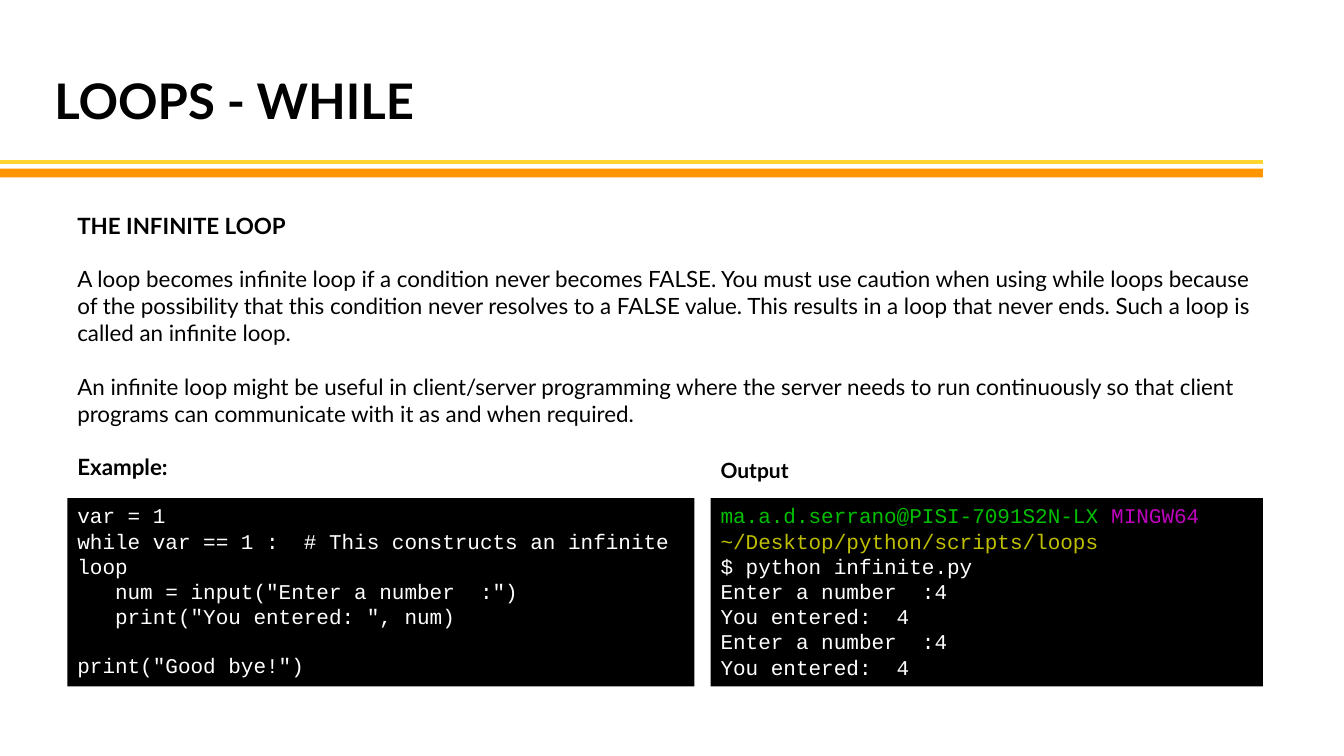
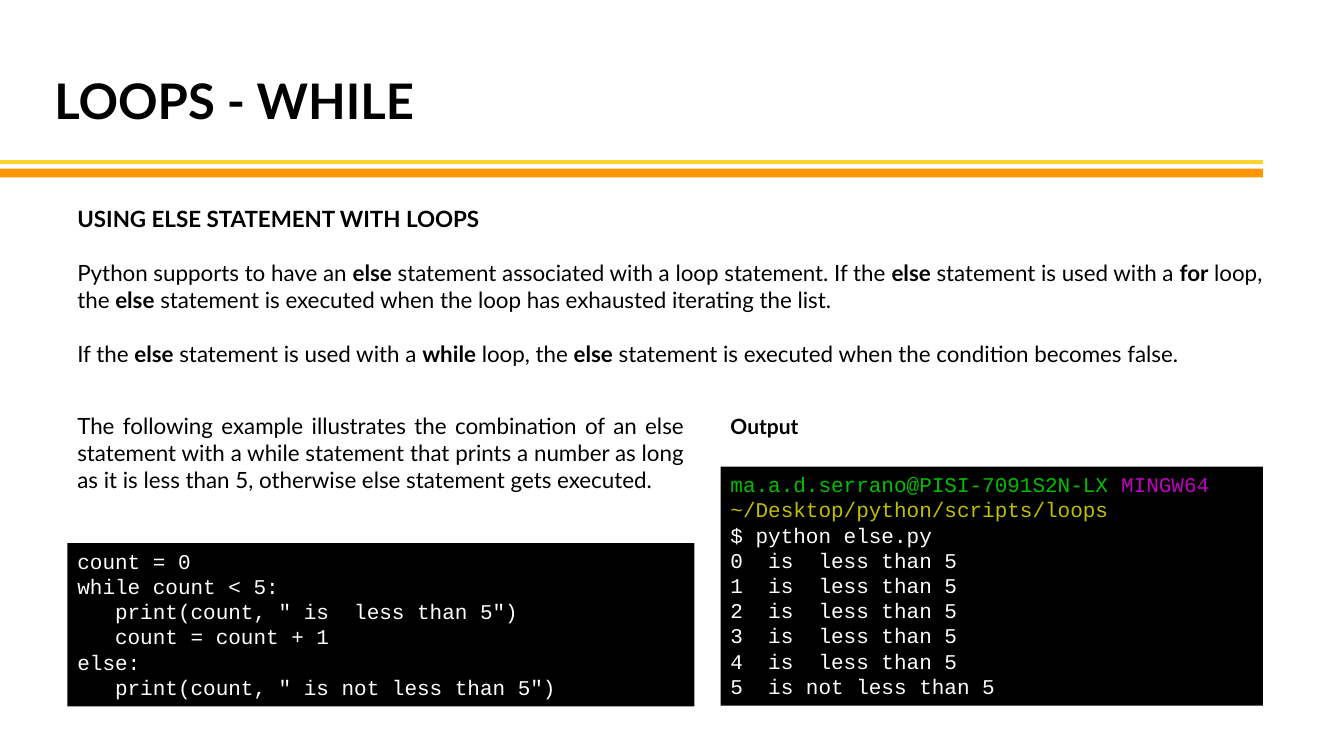
from dataclasses import dataclass

import pptx
import pptx.dml.color
import pptx.enum.shapes
import pptx.enum.text
import pptx.oxml
import pptx.oxml.ns
import pptx.slide
import pptx.text.text
import pptx.util

Cm = pptx.util.Cm
Pt = pptx.util.Pt
ALIGN = pptx.enum.text.PP_ALIGN

COLORS = {
    "text": "000000",
    "console": "000000",
    "code": "FFFFFF",
    "thin band": "FFD42E",
    "thick band": "FF9500",
    "prompt user": "00BF00",
    "prompt system": "BF00BF",
    "prompt folder": "BFBF00",
}
PROSE_FONT, CODE_FONT = "Lato", "Courier New"
PROSE_SIZE, CODE_SIZE, TITLE_SIZE = 16, 15, 35
PROSE_GAP, CODE_GAP = 19.2, 17
LEFT, RIGHT, CODE_WIDTH, PROSE_WIDTH = 1.7, 31.83, 15.8, 30.45


@dataclass(frozen=True)
class Box:
    left: float
    top: float
    width: float
    height: float

    def lengths(self) -> tuple[pptx.util.Length, ...]:
        return Cm(self.left), Cm(self.top), Cm(self.width), Cm(self.height)


@dataclass(frozen=True)
class Run:
    text: str
    color: str = "text"
    bold: bool = False


@dataclass(frozen=True)
class Line:
    runs: tuple[Run, ...]
    space_before: float = 0


@dataclass(frozen=True)
class Style:
    font: str = PROSE_FONT
    size: float = PROSE_SIZE
    align: ALIGN = ALIGN.LEFT
    wrap: bool = True


PROSE = Style()
JUSTIFIED = Style(align=ALIGN.JUSTIFY)
LABEL = Style(size=15, wrap=False)
TITLE = Style(size=TITLE_SIZE)
CODE = Style(font=CODE_FONT, size=CODE_SIZE)


def rgb(name: str) -> pptx.dml.color.RGBColor:
    return pptx.dml.color.RGBColor.from_string(COLORS[name])


def prose(*paragraphs: str) -> list[Line]:
    """Text between asterisks is bold."""
    return [
        Line(
            tuple(
                Run(part, bold=position % 2 == 1)
                for position, part in enumerate(paragraph.split("*"))
                if part
            ),
            PROSE_GAP if index else 0,
        )
        for index, paragraph in enumerate(paragraphs)
    ]


def code(*blocks: str) -> list[Line]:
    return [
        Line((Run(text, "code"),), CODE_GAP if block_index and not row else 0)
        for block_index, block in enumerate(blocks)
        for row, text in enumerate(block.split("\n"))
    ]


def session(output: str) -> list[Line]:
    prompt = Line((
        Run("ma.a.d.serrano@PISI-7091S2N-LX ", "prompt user"),
        Run("MINGW64 ", "prompt system"),
        Run("~/Desktop/python/scripts/loops", "prompt folder"),
    ))
    return [prompt, *code(output)]


def write(frame: pptx.text.text.TextFrame, lines: list[Line], style: Style) -> None:
    frame.word_wrap = style.wrap
    frame.auto_size = pptx.enum.text.MSO_AUTO_SIZE.SHAPE_TO_FIT_TEXT
    frame.vertical_anchor = pptx.enum.text.MSO_ANCHOR.TOP
    for index, line in enumerate(lines):
        paragraph = frame.add_paragraph() if index else frame.paragraphs[0]
        paragraph.alignment = style.align
        if line.space_before:
            paragraph.space_before = Pt(line.space_before)
        for part in line.runs:
            run = paragraph.add_run()
            run.text = part.text
            run.font.name = style.font
            run.font.size = Pt(style.size)
            run.font.bold = part.bold
            run.font.color.rgb = rgb(part.color)


def add_text(
    slide: pptx.slide.Slide, box: Box, lines: list[Line], style: Style = PROSE
) -> pptx.text.text.TextFrame:
    frame = slide.shapes.add_textbox(*box.lengths()).text_frame
    write(frame, lines, style)
    return frame


def add_rectangle(
    slide: pptx.slide.Slide, box: Box, fill: str
) -> pptx.text.text.TextFrame:
    shape = slide.shapes.add_shape(
        pptx.enum.shapes.MSO_SHAPE.RECTANGLE, *box.lengths()
    )
    shape.shadow.inherit = False
    shape.fill.solid()
    shape.fill.fore_color.rgb = rgb(fill)
    shape.line.fill.background()
    return shape.text_frame


def add_console(slide: pptx.slide.Slide, box: Box, lines: list[Line]) -> None:
    write(add_rectangle(slide, box, "console"), lines, CODE)


def add_output(
    slide: pptx.slide.Slide,
    left: float,
    label_top: float,
    top: float,
    height: float,
    output: str,
) -> None:
    add_text(slide, Box(left, label_top, 2.41, 0.89), prose("*Output*"), LABEL)
    add_console(slide, Box(left, top, RIGHT - left, height), session(output))


def add_titled_slide(
    presentation: pptx.presentation.Presentation, title: str
) -> pptx.slide.Slide:
    slide = presentation.slides.add_slide(presentation.slide_layouts[6])
    thin_band = slide.shapes.add_connector(
        pptx.enum.shapes.MSO_CONNECTOR.STRAIGHT, Cm(0), Cm(4.09), Cm(RIGHT), Cm(4.09)
    )
    thin_band.line.color.rgb = rgb("thin band")
    thin_band.line.width = Pt(3)
    properties = thin_band._element.spPr
    properties.append(pptx.oxml.parse_xml(
        f"<a:effectLst {pptx.oxml.ns.nsdecls('a')}/>"
    ))
    frame = add_text(slide, Box(1.37, 1.78, 20, 1.63), prose(f"*{title}*"), TITLE)
    frame.margin_left = frame.margin_top = frame.margin_right = Cm(0)
    add_rectangle(slide, Box(0, 4.25, RIGHT, 0.22), "thick band")
    return slide


def build_infinite_loop(presentation: pptx.presentation.Presentation) -> None:
    slide = add_titled_slide(presentation, "LOOPS - WHILE")
    add_text(slide, Box(LEFT, 5.21, PROSE_WIDTH, 7.09), prose(
        "*THE INFINITE LOOP*",
        "A loop becomes infinite loop if a condition never becomes FALSE. "
        "You must use caution when using while loops because of the possibility "
        "that this condition never resolves to a FALSE value. This results in a "
        "loop that never ends. Such a loop is called an infinite loop.",
        "An infinite loop might be useful in client/server programming where the "
        "server needs to run continuously so that client programs can communicate "
        "with it as and when required.",
        "*Example:*",
    ))
    add_console(slide, Box(LEFT, 12.55, CODE_WIDTH, 4.75), code(
        "var = 1\n"
        "while var == 1 :  # This constructs an infinite loop\n"
        '   num = input("Enter a number  :")\n'
        '   print("You entered: ", num)',
        'print("Good bye!")',
    ))
    exchange = "\nEnter a number  :4\nYou entered:  4"
    add_output(
        slide, 17.91, 11.4, 12.55, 4.75, "$ python infinite.py" + exchange * 2
    )


def build_else_statement(presentation: pptx.presentation.Presentation) -> None:
    slide = add_titled_slide(presentation, "LOOPS - WHILE")
    add_text(slide, Box(LEFT, 5.05, PROSE_WIDTH, 5.05), prose(
        "*USING ELSE STATEMENT WITH LOOPS*",
        "Python supports to have an *else* statement associated with a loop "
        "statement. If the *else* statement is used with a *for* loop, the *else* "
        "statement is executed when the loop has exhausted iterating the list.",
        "If the *else* statement is used with a *while* loop, the *else* statement "
        "is executed when the condition becomes false.",
    ))
    add_text(slide, Box(LEFT, 10.26, CODE_WIDTH, 3), prose(
        "The following example illustrates the combination of an else statement "
        "with a while statement that prints a number as long as it is less than 5, "
        "otherwise else statement gets executed.",
    ), JUSTIFIED)
    add_console(slide, Box(LEFT, 13.69, CODE_WIDTH, 4.11), code(
        "count = 0\n"
        "while count < 5:\n"
        '   print(count, " is  less than 5")\n'
        "   count = count + 1\n"
        "else:\n"
        '   print(count, " is not less than 5")',
    ))
    counts = "".join(f"\n{count}  is  less than 5" for count in range(5))
    add_output(
        slide, 18.16, 10.29, 11.76, 6.02,
        f"$ python else.py{counts}\n5  is not less than 5",
    )


def main() -> None:
    presentation = pptx.Presentation()
    presentation.slide_width = Cm(33.87)
    presentation.slide_height = Cm(19.05)
    build_infinite_loop(presentation)
    build_else_statement(presentation)
    presentation.save("out.pptx")


if __name__ == "__main__":
    main()
